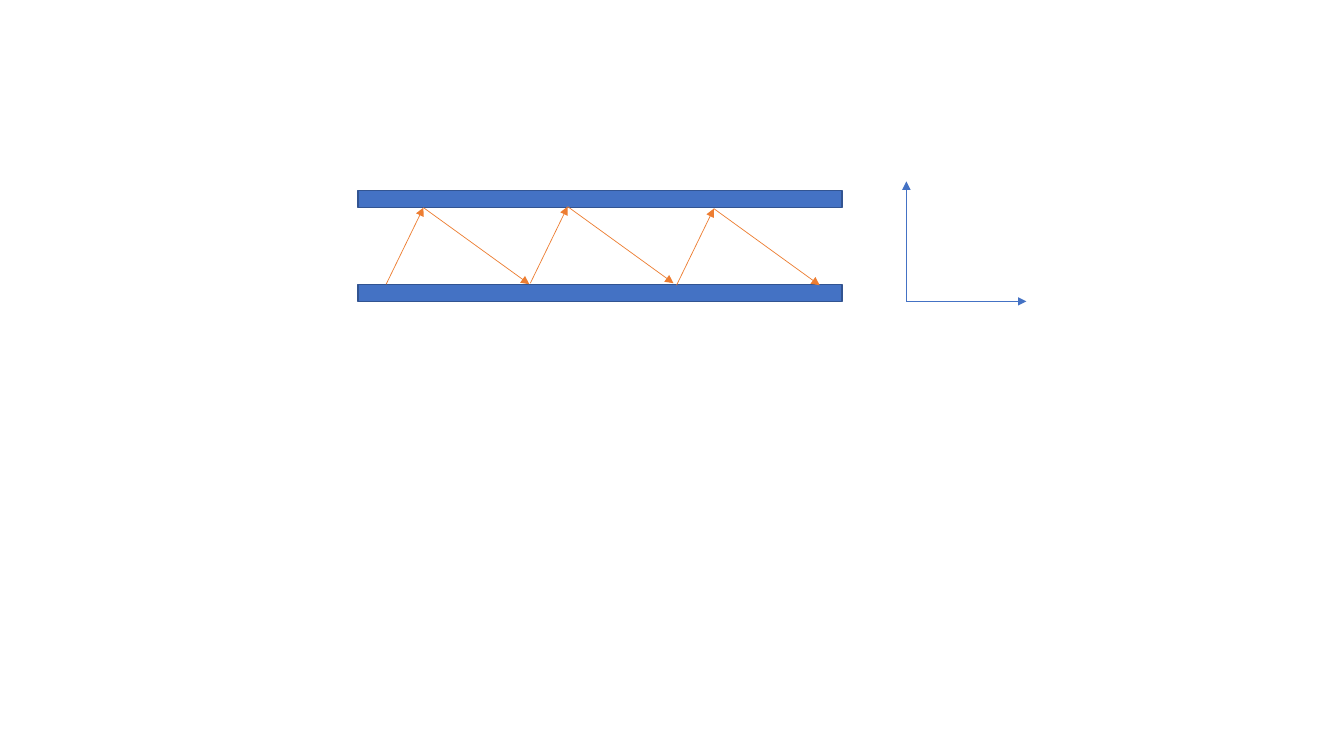
import pptx
import pptx.util
import pptx.dml.color
import pptx.enum.shapes
from dataclasses import dataclass
from lxml import etree
from pptx.oxml.ns import qn


@dataclass(frozen=True)
class Theme:
    plate: str = "4472C4"
    plate_edge: str = "325491"
    ray: str = "ED7D31"
    axis: str = "4472C4"
    edge_width: float = 1
    arrow_width: float = 0.5


THEME = Theme()

# Content, in inches
SLIDE_SIZE = (13.33, 7.5)
PLATE_LEFT, PLATE_WIDTH, PLATE_HEIGHT = 3.55, 4.8, 0.17
PLATE_TOPS = (1.89, 2.82)
BOUNCE_STARTS = ((3.83, 2.82), (5.26, 2.81), (6.71, 2.83))
RISE_RUN, FALL_RUN, GAP = 0.37, 1.05, 0.76
AXIS_ORIGIN = (8.99, 2.99)
AXIS_LENGTH = 1.19


def color(value):
    return pptx.dml.color.RGBColor.from_string(value)


def add_plate(group, top):
    box = (PLATE_LEFT, top, PLATE_WIDTH, PLATE_HEIGHT)
    shape = group.shapes.add_shape(
        pptx.enum.shapes.MSO_SHAPE.RECTANGLE, *map(pptx.util.Inches, box))
    shape.shadow.inherit = False
    shape.fill.solid()
    shape.fill.fore_color.rgb = color(THEME.plate)
    shape.line.color.rgb = color(THEME.plate_edge)
    shape.line.width = pptx.util.Pt(THEME.edge_width)


def add_arrow(group, start, end, line_color):
    connector = group.shapes.add_connector(
        pptx.enum.shapes.MSO_CONNECTOR.STRAIGHT,
        *map(pptx.util.Inches, start + end))
    connector.line.color.rgb = color(line_color)
    connector.line.width = pptx.util.Pt(THEME.arrow_width)
    properties = connector._element.spPr
    line = properties.find(qn("a:ln"))
    etree.SubElement(line, qn("a:tailEnd"), type="triangle")
    etree.SubElement(properties, qn("a:effectLst"))


def main():
    presentation = pptx.Presentation()
    presentation.slide_width, presentation.slide_height = map(
        pptx.util.Inches, SLIDE_SIZE)
    slide = presentation.slides.add_slide(presentation.slide_layouts[6])
    group = slide.shapes.add_group_shape()

    # Waveguide plates
    for top in PLATE_TOPS:
        add_plate(group, top)

    # Ray bouncing between the plates
    for x, y in BOUNCE_STARTS:
        peak = (x + RISE_RUN, y - GAP)
        add_arrow(group, (x, y), peak, THEME.ray)
        add_arrow(group, peak, (peak[0] + FALL_RUN, y), THEME.ray)

    # Coordinate axes
    x, y = AXIS_ORIGIN
    for end in ((x, y - AXIS_LENGTH), (x + AXIS_LENGTH, y)):
        add_arrow(group, AXIS_ORIGIN, end, THEME.axis)

    presentation.save("out.pptx")


if __name__ == "__main__":
    main()
